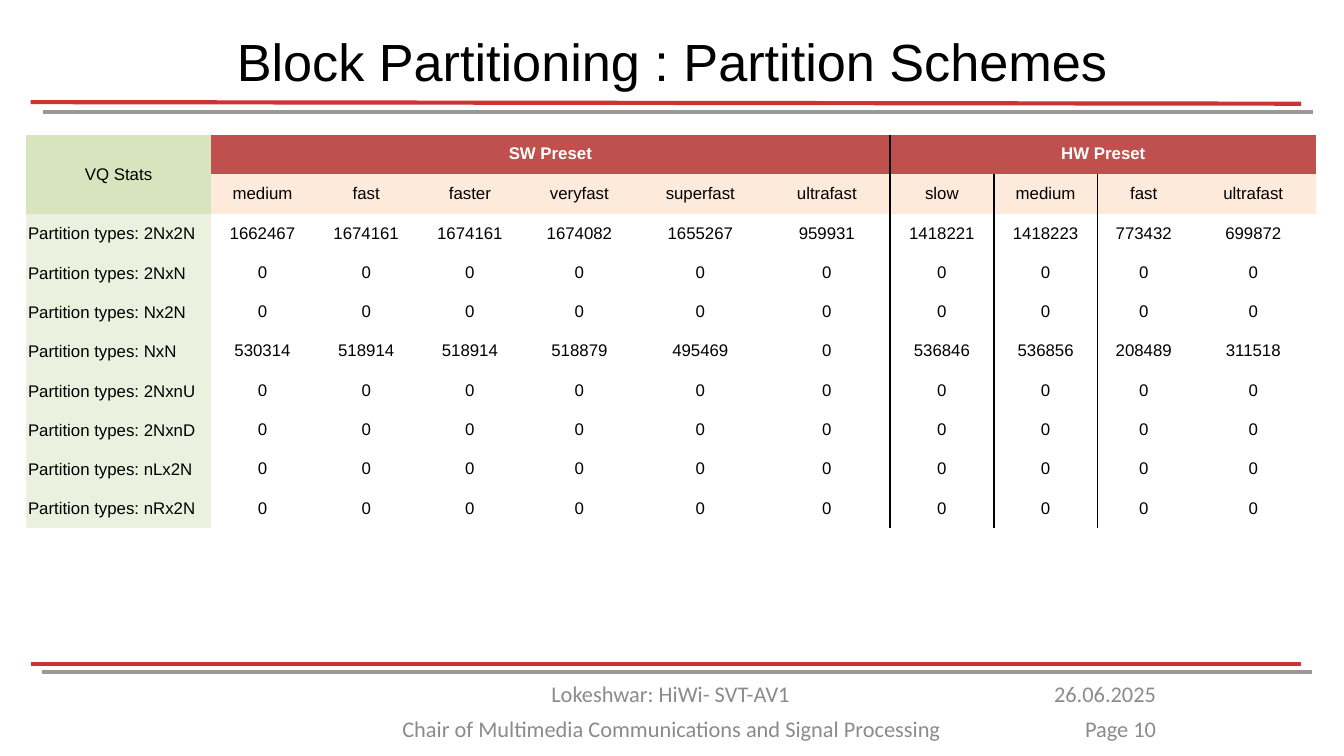
import pptx
import pptx.dml.color
import pptx.enum.shapes
import pptx.enum.text
import pptx.oxml.ns
import pptx.util
from lxml import etree

Cm = pptx.util.Cm
Pt = pptx.util.Pt
RGBColor = pptx.dml.color.RGBColor
ALIGN = pptx.enum.text.PP_ALIGN
ANCHOR = pptx.enum.text.MSO_ANCHOR
AUTO_SIZE = pptx.enum.text.MSO_AUTO_SIZE
qn = pptx.oxml.ns.qn

BLACK = RGBColor(0x00, 0x00, 0x00)
WHITE = RGBColor(0xFF, 0xFF, 0xFF)
FOOTER_GRAY = RGBColor(0x8B, 0x8B, 0x8B)
RULE_RED = RGBColor(0xCC, 0x33, 0x33)
RULE_GRAY = RGBColor(0x99, 0x99, 0x99)
CORNER_GREEN = RGBColor(0xD7, 0xE4, 0xBD)
LABEL_GREEN = RGBColor(0xEB, 0xF1, 0xDE)
HEADER_RED = RGBColor(0xC0, 0x50, 0x4D)
PRESET_PEACH = RGBColor(0xFD, 0xEA, 0xDA)

NO_STYLE_NO_GRID = "{2D5ABB26-0587-4C30-8999-92F81FD0307C}"
COLUMN_WIDTHS = [3.48, 1.96, 1.96, 1.96, 2.18, 2.39, 2.39, 1.96, 1.96, 1.75, 2.39]
ROW_HEIGHT = 0.73
PRESETS = ["medium", "fast", "faster", "veryfast", "superfast", "ultrafast",
           "slow", "medium", "fast", "ultrafast"]
ZEROS = [0] * len(PRESETS)
PARTITION_COUNTS = {
    "2Nx2N": [1662467, 1674161, 1674161, 1674082, 1655267, 959931,
              1418221, 1418223, 773432, 699872],
    "2NxN": ZEROS,
    "Nx2N": ZEROS,
    "NxN": [530314, 518914, 518914, 518879, 495469, 0,
            536846, 536856, 208489, 311518],
    "2NxnU": ZEROS,
    "2NxnD": ZEROS,
    "nLx2N": ZEROS,
    "nRx2N": ZEROS,
}
LAST_SW, SLOW_HW = 6, 7

TITLE_FONT = {"name": "Arial", "size": Pt(28)}
FOOTER_FONT = {"name": "Calibri", "size": Pt(12)}
CELL_FONT = {"name": "Arial", "size": Pt(9), "bold": False}
GROUP_FONT = {**CELL_FONT, "bold": True}
CELL_MARGINS = {f"margin_{side}": Cm(0.18) for side in ("left", "top", "right", "bottom")}
VALUE_FORMAT = {**CELL_MARGINS, "vertical_anchor": ANCHOR.MIDDLE}
GROUP_FORMAT = {**CELL_MARGINS, "vertical_anchor": ANCHOR.TOP}
LABEL_FORMAT = {"margin_left": Cm(0.03), "margin_top": Cm(0.03),
                "margin_right": Cm(0.03), "margin_bottom": 0,
                "vertical_anchor": ANCHOR.MIDDLE}


def apply_format(target, values):
    for name, value in values.items():
        setattr(target, name, value)


def write_text(frame, text, alignment, font, color):
    paragraph = frame.paragraphs[0]
    paragraph.alignment = alignment
    run = paragraph.add_run()
    run.text = text
    apply_format(run.font, font)
    run.font.color.rgb = color


def add_text(slide, text, box, alignment, font, color, frame_format):
    frame = slide.shapes.add_textbox(*map(Cm, box)).text_frame
    apply_format(frame, {"word_wrap": True, **frame_format})
    write_text(frame, text, alignment, font, color)


def add_rule(slide, start, end, color):
    rule = slide.shapes.add_connector(
        pptx.enum.shapes.MSO_CONNECTOR.STRAIGHT, *map(Cm, start + end))
    rule.line.color.rgb = color
    rule.line.width = Pt(2.25)
    etree.SubElement(rule.element.spPr, qn("a:effectLst"))


def add_borders(cell, sides):
    properties = cell._tc.get_or_add_tcPr()
    for index, side in enumerate(sides):
        border = etree.Element(qn(f"a:ln{side}"), w=str(Pt(1)))
        fill = etree.SubElement(border, qn("a:solidFill"))
        etree.SubElement(fill, qn("a:srgbClr"), val=str(BLACK))
        properties.insert(index, border)


def fill_cell(cell, text, fill=None, color=BLACK, alignment=ALIGN.CENTER,
              font=CELL_FONT, cell_format=VALUE_FORMAT, borders=""):
    apply_format(cell, cell_format)
    write_text(cell.text_frame, text, alignment, font, color)
    if fill is None:
        cell.fill.background()
    else:
        cell.fill.solid()
        cell.fill.fore_color.rgb = fill
    add_borders(cell, borders)


def add_preset_row(table, row, texts, fill=None):
    borders = {LAST_SW: "R", SLOW_HW: "LR", SLOW_HW + 1: "L"}
    for column, text in enumerate(texts, 1):
        fill_cell(table.cell(row, column), str(text), fill,
                  borders=borders.get(column, ""))


def add_statistics(slide):
    row_count = len(PARTITION_COUNTS) + 2
    frame = slide.shapes.add_table(
        row_count, len(COLUMN_WIDTHS), Cm(0.5), Cm(2.55),
        Cm(sum(COLUMN_WIDTHS)), Cm(ROW_HEIGHT * row_count))
    table = frame.table
    for style in frame.element.iter(qn("a:tableStyleId")):
        style.text = NO_STYLE_NO_GRID
    apply_format(table, {"first_row": False, "horz_banding": False})
    for column, width in zip(table.columns, COLUMN_WIDTHS):
        column.width = Cm(width)
    for row in table.rows:
        row.height = Cm(ROW_HEIGHT)

    corner = table.cell(0, 0)
    corner.merge(table.cell(1, 0))
    fill_cell(corner, "VQ Stats", CORNER_GREEN)
    for text, first, last, border in [("SW Preset", 1, LAST_SW, "R"),
                                      ("HW Preset", SLOW_HW, len(PRESETS), "L")]:
        group = table.cell(0, first)
        group.merge(table.cell(0, last))
        fill_cell(group, text, HEADER_RED, WHITE, font=GROUP_FONT,
                  cell_format=GROUP_FORMAT, borders=border)

    add_preset_row(table, 1, PRESETS, PRESET_PEACH)
    for row, (partition, counts) in enumerate(PARTITION_COUNTS.items(), 2):
        fill_cell(table.cell(row, 0), f"Partition types: {partition}", LABEL_GREEN,
                  alignment=ALIGN.LEFT, cell_format=LABEL_FORMAT)
        add_preset_row(table, row, counts)
    nxn_row = 2 + list(PARTITION_COUNTS).index("NxN")
    table.cell(nxn_row, len(PRESETS)).vertical_anchor = ANCHOR.TOP


def main():
    presentation = pptx.Presentation()
    apply_format(presentation, {"slide_width": Cm(25.4), "slide_height": Cm(14.29)})
    slide = presentation.slides.add_slide(presentation.slide_layouts[6])

    for start, end, color in [
        ((0.58, 1.93), (24.59, 1.96), RULE_RED),
        ((0.81, 2.11), (24.82, 2.11), RULE_GRAY),
        ((0.58, 12.55), (24.59, 12.55), RULE_RED),
        ((0.79, 12.7), (24.8, 12.7), RULE_GRAY),
    ]:
        add_rule(slide, start, end, color)

    for text, box, alignment in [
        ("Chair of Multimedia Communications and Signal Processing",
         (6.6, 13.39, 12.19, 0.76), ALIGN.CENTER),
        ("Lokeshwar: HiWi- SVT-AV1", (6.58, 12.73, 12.19, 0.76), ALIGN.CENTER),
        ("26.06.2025", (19.51, 12.73, 2.59, 0.76), ALIGN.RIGHT),
        ("Page 10", (19.1, 13.39, 3, 1.27), ALIGN.RIGHT),
    ]:
        add_text(slide, text, box, alignment, FOOTER_FONT, FOOTER_GRAY,
                 {"auto_size": AUTO_SIZE.SHAPE_TO_FIT_TEXT})

    add_text(slide, "Block Partitioning : Partition Schemes", (1.27, 0.36, 22.86, 1.57),
             ALIGN.CENTER, TITLE_FONT, BLACK, {"vertical_anchor": ANCHOR.MIDDLE})
    add_statistics(slide)
    presentation.save("out.pptx")


if __name__ == "__main__":
    main()
